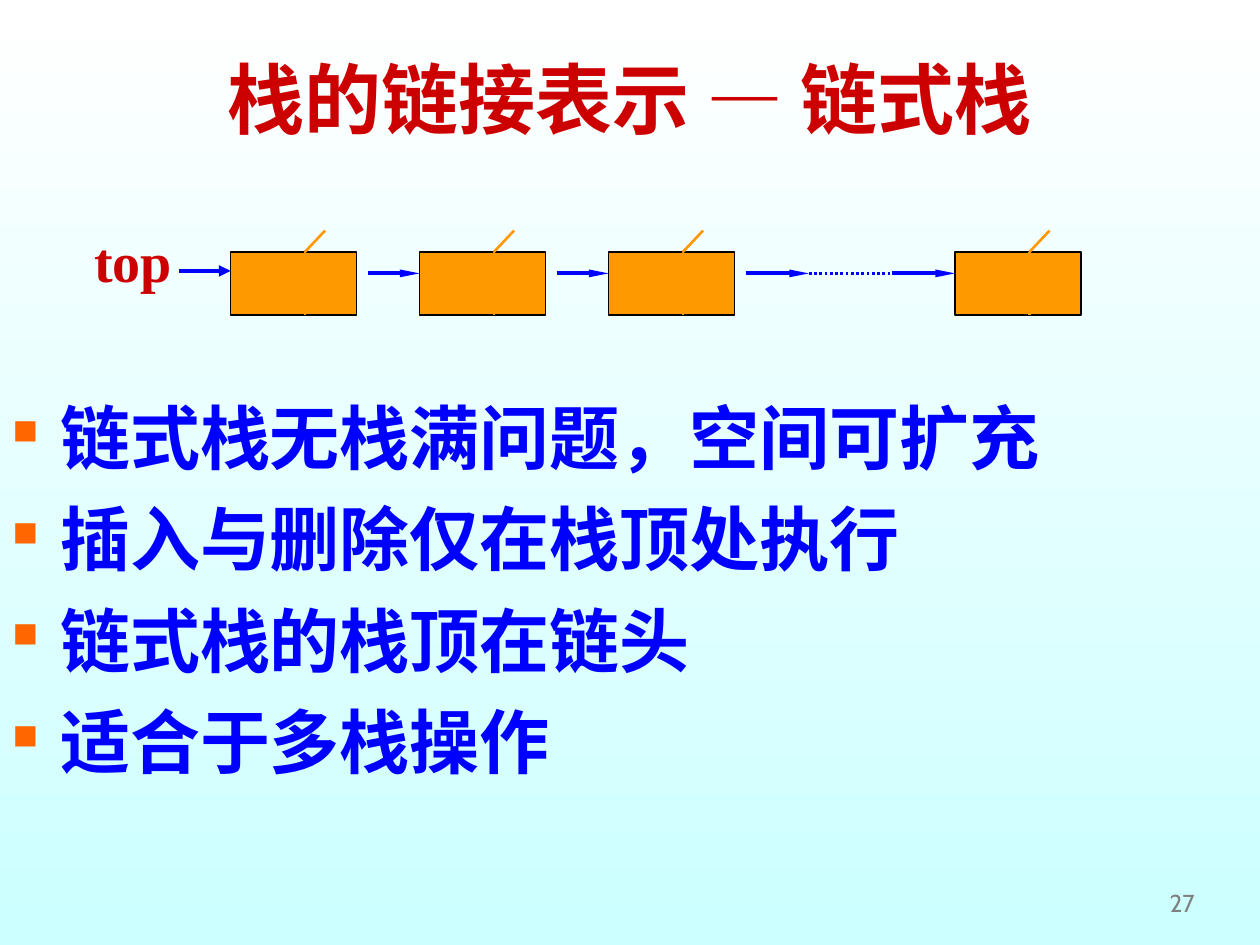
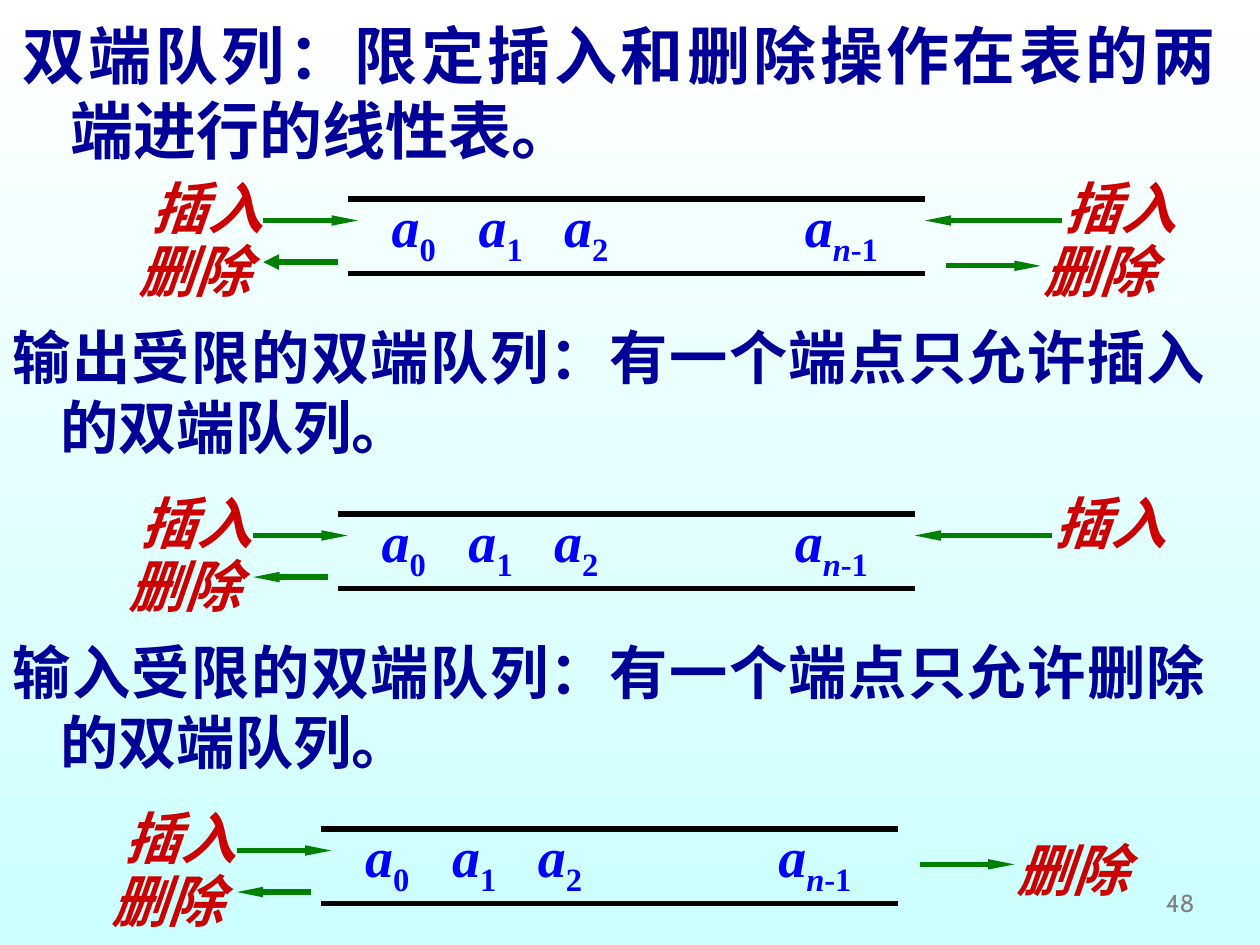
from lxml import etree
from pptx import Presentation
from pptx.dml.color import RGBColor
from pptx.enum import dml, shapes, text
from pptx.oxml.ns import qn
from pptx.util import Inches, Pt

HUES = {
    "white": "FFFFFF", "aqua": "CCFFFF", "red": "CC0000", "blue": "0000FF",
    "navy": "000099", "green": "008000", "orange": "FF9900",
    "bullet": "FF6600", "black": "000000", "gray": "808080",
}
SERIF, SANS = "Times New Roman", "Cabin"
LEFT, MID, RIGHT, FULL = (text.PP_ALIGN.LEFT, text.PP_ALIGN.CENTER,
                          text.PP_ALIGN.RIGHT, text.PP_ALIGN.JUSTIFY)
TOP, CENTER, BASE = (text.MSO_ANCHOR.TOP, text.MSO_ANCHOR.MIDDLE,
                     text.MSO_ANCHOR.BOTTOM)
HANG = 0.38


def hue(name):
    return RGBColor.from_string(HUES[name])


def sub(parent, tag, **attrs):
    return etree.SubElement(parent, qn(tag), attrs)


def add_bullet(props):
    sub(sub(props, "a:buClr"), "a:srgbClr", val=HUES["bullet"])
    sub(props, "a:buSzPct", val="50000")
    sub(props, "a:buChar", char="■")


def add_tabs(props, stops):
    tabs = sub(props, "a:tabLst")
    for stop in stops:
        sub(tabs, "a:tab", pos=str(Inches(stop)), algn="l")


def write(slide, box, paras, size=32, color="red", font=SERIF, bold=True,
          italic=False, align=LEFT, anchor=TOP, wrap=True, hang=0,
          bullet=False, before=0, tabs=()):
    """Add a text box; a paragraph is a string or a list of (string, italic, baseline)."""
    frame = slide.shapes.add_textbox(*map(Inches, box)).text_frame
    frame.word_wrap = wrap
    frame.vertical_anchor = anchor
    for i, para in enumerate(paras):
        line = frame.paragraphs[0] if i == 0 else frame.add_paragraph()
        props = line._p.get_or_add_pPr()
        if hang:
            props.set("marL", str(Inches(hang)))
            props.set("indent", str(-Inches(hang)))
        if bullet:
            add_bullet(props)
        if tabs:
            add_tabs(props, tabs)
        line.alignment = align
        if i and before:
            line.space_before = Pt(before)
        parts = [(para, italic, 0)] if isinstance(para, str) else para
        for words, slant, shift in parts:
            run = line.add_run()
            run.text = words
            run.font.name, run.font.size = font, Pt(size)
            run.font.bold, run.font.italic = bold, slant
            run.font.color.rgb = hue(color)
            if shift:
                run._r.get_or_add_rPr().set("baseline", str(shift * 1000))


def draw(slide, start, end, color, width, head=None, dash=None):
    """Add a line; head gives the arrowhead's (width, length)."""
    line = slide.shapes.add_connector(
        shapes.MSO_CONNECTOR.STRAIGHT, *map(Inches, (*start, *end)))
    line.line.color.rgb = hue(color)
    line.line.width = Pt(width)
    if dash:
        line.line.dash_style = dash
    if head:
        sub(line.line._get_or_add_ln(), "a:tailEnd",
            type="triangle", w=head[0], len=head[1])
    sub(line._element.spPr, "a:effectLst")


SLIM, PLAIN = ("sm", "lg"), ("med", "med")


def add_slide(deck, number):
    slide = deck.slides.add_slide(deck.slide_layouts[6])
    fill = slide.background.fill
    fill.gradient()
    fill.gradient_angle = 270
    for stop, place, name in zip(fill.gradient_stops, (0, 1), ("white", "aqua")):
        stop.position = place
        stop.color.rgb = hue(name)
    write(slide, (7.5, 6.83, 2.08, 0.5), [number], size=14, color="gray",
          font=SANS, bold=False, align=RIGHT, anchor=BASE)
    return slide


def add_node(slide, x, y):
    node = slide.shapes.add_shape(
        shapes.MSO_SHAPE.RECTANGLE, *map(Inches, (x, y, 1, 0.5)))
    node.shadow.inherit = False
    node.fill.solid()
    node.fill.fore_color.rgb = hue("orange")
    node.line.color.rgb = hue("black")
    node.line.width = Pt(0.75)
    split = x + 0.59
    draw(slide, (split, y), (split, y + 0.5), "orange", 1.5)
    draw(slide, (split, y), (split + 0.16, y - 0.17), "orange", 1.5)


def add_chain(slide, x, y):
    """Draw the linked stack with its first node at x, y."""
    write(slide, (x - 1.18, y - 0.25, 0.82, 0.64), ["top"], wrap=False)
    draw(slide, (x - 0.41, y + 0.15), (x, y + 0.15), "blue", 2.25, PLAIN)
    for shift in (0, 1.5, 3, 5.75):
        add_node(slide, x + shift, y)
    mid = y + 0.17
    for start, end in ((1.09, 1.5), (2.59, 3), (4.09, 4.59), (5.25, 5.75)):
        draw(slide, (x + start, mid), (x + end, mid), "blue", 2.25, SLIM)
    draw(slide, (x + 4.59, mid), (x + 5.25, mid), "blue", 1.5,
         dash=dml.MSO_LINE.ROUND_DOT)


def add_queue(slide, x, y, ends, back=SLIM):
    """Draw a deque whose rails start at x, y; ends holds (label, y) on the right."""
    def label(words, left, top):
        write(slide, (x + left, y + top, 1.09, 0.64), [words],
              italic=True, wrap=False)

    def arrow(start, end, top, head=SLIM):
        draw(slide, (x + start, y + top), (x + end, y + top), "green", 3, head)

    for rail in (y, y + 0.59):
        draw(slide, (x, rail), (x + 4.58, rail), "black", 3)
    items = []
    for lead, index in (("a", "0"), ("\ta", "1"), ("\ta", "2")):
        items += [(lead, True, 0), (index, False, -25)]
    items += [("\ta", True, 0), ("n", True, -25), ("-1", False, -25)]
    write(slide, (x + 0.25, y - 0.11, 4.3, 0.71), [items], color="blue",
          tabs=(0.69, 1.37, 3.28))
    label("插入", -1.66, -0.25)
    arrow(-0.67, 0.08, 0.17)
    label("删除", -1.76, 0.25)
    arrow(-0.08, -0.67, 0.5, back)
    for words, top in ends:
        if words == "插入":
            label(words, 5.59, top)
            arrow(5.67, 4.58, top + 0.42)
        else:
            label(words, 5.42, top)
            arrow(4.75, 5.5, top + 0.28)


def build_stack(deck):
    slide = add_slide(deck, "27")
    write(slide, (0, 0.25, 10, 1.05), ["栈的链接表示 — 链式栈"], size=44,
          align=MID, anchor=CENTER)
    write(slide, (0, 3.08, 10, 3.54),
          ["链式栈无栈满问题，空间可扩充", "插入与删除仅在栈顶处执行",
           "链式栈的栈顶在链头", "适合于多栈操作"],
          size=40, color="blue", hang=HANG, bullet=True, before=10)
    add_chain(slide, 1.83, 2)


def build_deque(deck):
    slide = add_slide(deck, "48")
    push, pull = ("插入", -0.25), ("删除", 0.25)
    rows = [
        ((0.08, 0.08, 9.67, 1.33), 36, 2.76, (push, pull), PLAIN,
         "双端队列：限定插入和删除操作在表的两端进行的线性表。"),
        ((0, 2.5, 9.67, 1.25), 33.3, 2.68, (push,), SLIM,
         "输出受限的双端队列：有一个端点只允许插入的双端队列。"),
        ((0, 5, 9.67, 1.25), 33.3, 2.55, (("删除", 0),), SLIM,
         "输入受限的双端队列：有一个端点只允许删除的双端队列。"),
    ]
    for i, (box, size, x, ends, back, words) in enumerate(rows):
        write(slide, box, [words], size=size, color="navy", align=FULL, hang=HANG)
        add_queue(slide, x, 1.58 + 2.5 * i, ends, back)


def main():
    deck = Presentation()
    deck.slide_width, deck.slide_height = Inches(10), Inches(7.5)
    build_stack(deck)
    build_deque(deck)
    deck.save("out.pptx")


if __name__ == "__main__":
    main()
